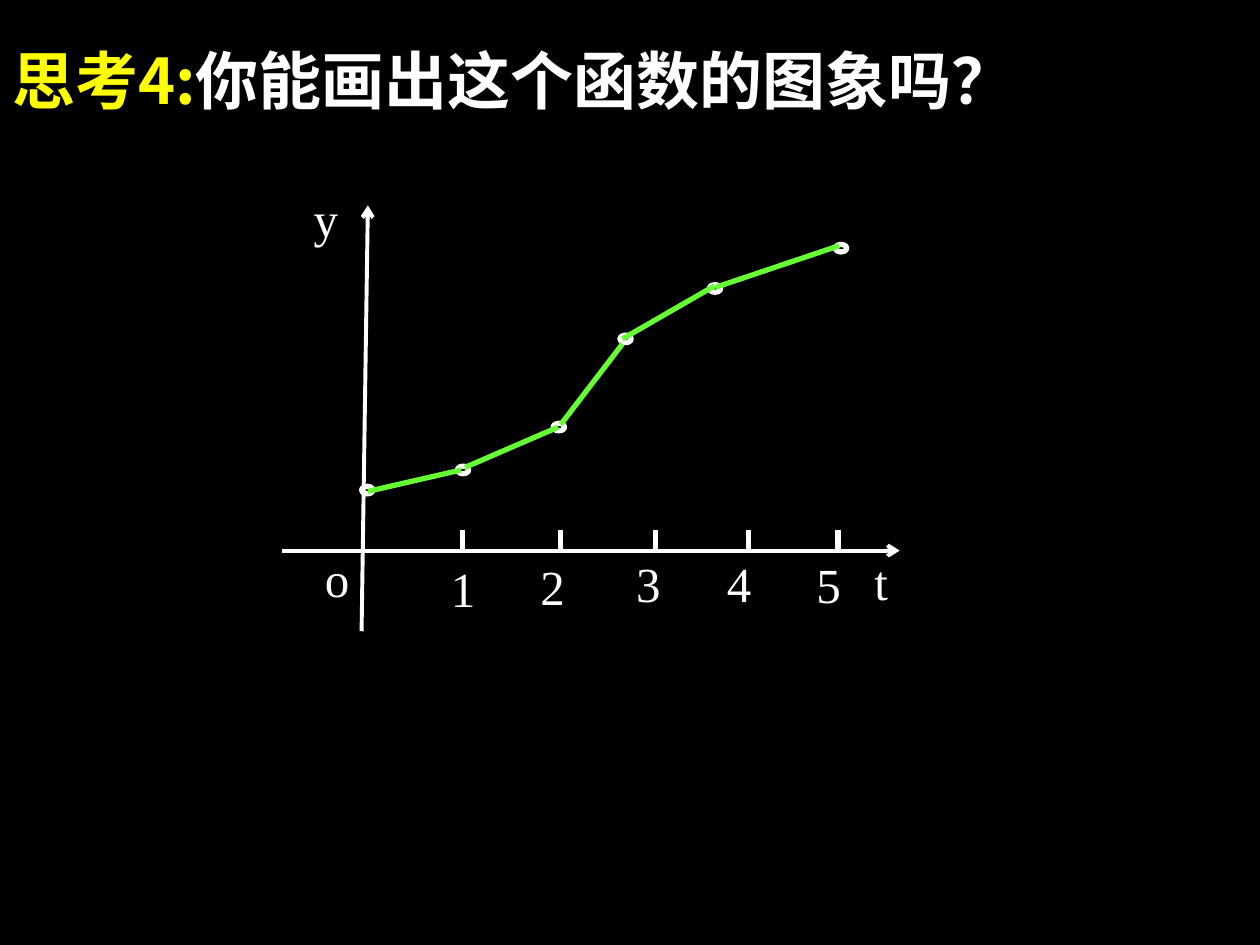
from dataclasses import dataclass

from lxml import etree
from pptx import Presentation
from pptx.dml.color import RGBColor
from pptx.enum.shapes import MSO_CONNECTOR, MSO_SHAPE
from pptx.enum.text import MSO_AUTO_SIZE, PP_ALIGN
from pptx.oxml.ns import qn
from pptx.util import Inches, Pt

STRAIGHT = MSO_CONNECTOR.STRAIGHT
OVAL = MSO_SHAPE.OVAL
JUSTIFY = PP_ALIGN.JUSTIFY
FIT_TEXT = MSO_AUTO_SIZE.SHAPE_TO_FIT_TEXT

COLORS = {"back": "000000", "ink": "FFFFFF", "accent": "FFFF00", "curve": "66FF33"}
TITLE_FONT = "Noto Sans CJK SC"
LABEL_FONT = "Times New Roman"
AXIS_Y = 4.37
TICK_TOP = 4.21
DOT_W, DOT_H = 0.09, 0.06


@dataclass(frozen=True)
class Label:
    text: str
    x: float
    y: float
    w: float


@dataclass(frozen=True)
class Segment:
    x1: float
    y1: float
    x2: float
    y2: float


DOTS = [(6.63, 1.94), (3.63, 3.7), (5.63, 2.26), (4.92, 2.66), (4.39, 3.36), (2.87, 3.86)]
CURVE = [
    Segment(2.92, 3.9, 3.66, 3.73),
    Segment(3.69, 3.71, 4.43, 3.39),
    Segment(4.45, 3.37, 4.94, 2.73),
    Segment(4.94, 2.69, 5.67, 2.27),
    Segment(5.68, 2.28, 6.66, 1.95),
]
T_AXIS = Segment(2.24, AXIS_Y, 7.14, AXIS_Y)
Y_AXIS = Segment(2.87, 5.01, 2.92, 1.63)
TICKS = [3.67, 4.45, 5.2, 5.94, 6.65]
LABELS = [
    Label("t", 6.84, 4.33, 0.59),
    Label("y", 2.39, 1.45, 0.78),
    Label("o", 2.48, 4.3, 0.39),
    Label("1", 3.48, 4.38, 0.78),
    Label("2", 4.19, 4.37, 0.52),
    Label("3", 4.95, 4.34, 0.78),
    Label("4", 5.67, 4.34, 0.43),
    Label("5", 6.38, 4.35, 0.52),
]


def rgb(name: str) -> RGBColor:
    return RGBColor.from_string(COLORS[name])


def add_run(p, text: str, size: float, font: str, color: str, bold: bool = False) -> None:
    r = p.add_run()
    r.text = text
    r.font.size = Pt(size)
    r.font.name = font
    r.font.bold = bold
    r.font.color.rgb = rgb(color)
    ea = etree.SubElement(r.font._element, qn("a:ea"))
    ea.set("typeface", font)


def add_box(shapes, x: float, y: float, w: float, h: float):
    sp = shapes.add_textbox(Inches(x), Inches(y), Inches(w), Inches(h))
    sp.text_frame.word_wrap = True
    return sp.text_frame


def add_line(shapes, seg: Segment, color: str, width: float, arrow: bool = False) -> None:
    sp = shapes.add_connector(
        STRAIGHT, Inches(seg.x1), Inches(seg.y1), Inches(seg.x2), Inches(seg.y2)
    )
    sp.line.color.rgb = rgb(color)
    sp.line.width = Pt(width)
    if arrow:
        tail = etree.SubElement(sp.line._get_or_add_ln(), qn("a:tailEnd"))
        tail.set("type", "arrow")
    etree.SubElement(sp._element.spPr, qn("a:effectLst"))


def add_dot(shapes, x: float, y: float) -> None:
    sp = shapes.add_shape(OVAL, Inches(x), Inches(y), Inches(DOT_W), Inches(DOT_H))
    sp.shadow.inherit = False
    sp.fill.solid()
    sp.fill.fore_color.rgb = rgb("back")
    sp.line.color.rgb = rgb("ink")
    sp.line.width = Pt(3)


def add_label(shapes, label: Label) -> None:
    tf = add_box(shapes, label.x, label.y, label.w, 0.48)
    p = tf.paragraphs[0]
    p.alignment = JUSTIFY
    add_run(p, label.text, 28, LABEL_FONT, "ink")


def add_title(shapes) -> None:
    tf = add_box(shapes, 0, 0.28, 9.17, 0.7)
    tf.auto_size = FIT_TEXT
    p = tf.paragraphs[0]
    add_run(p, "思考4:", 36, TITLE_FONT, "accent", True)
    add_run(p, "你能画出这个函数的图象吗？", 36, TITLE_FONT, "ink", True)


def main() -> None:
    """Build the slide with the title and the graph of the function."""
    prs = Presentation()
    prs.slide_width = Inches(10)
    prs.slide_height = Inches(7.5)
    s = prs.slides.add_slide(prs.slide_layouts[6])
    s.background.fill.solid()
    s.background.fill.fore_color.rgb = rgb("back")

    add_title(s.shapes)
    dots = s.shapes.add_group_shape().shapes
    for x, y in DOTS:
        add_dot(dots, x, y)
    curve = s.shapes.add_group_shape().shapes
    for seg in CURVE:
        add_line(curve, seg, "curve", 3)
    axes = s.shapes.add_group_shape().shapes
    for axis in (T_AXIS, Y_AXIS):
        add_line(axes, axis, "ink", 2.25, arrow=True)
    for x in TICKS:
        add_line(axes, Segment(x, TICK_TOP, x, AXIS_Y), "ink", 3)
    for label in LABELS:
        add_label(axes, label)

    prs.save("out.pptx")


if __name__ == "__main__":
    main()
